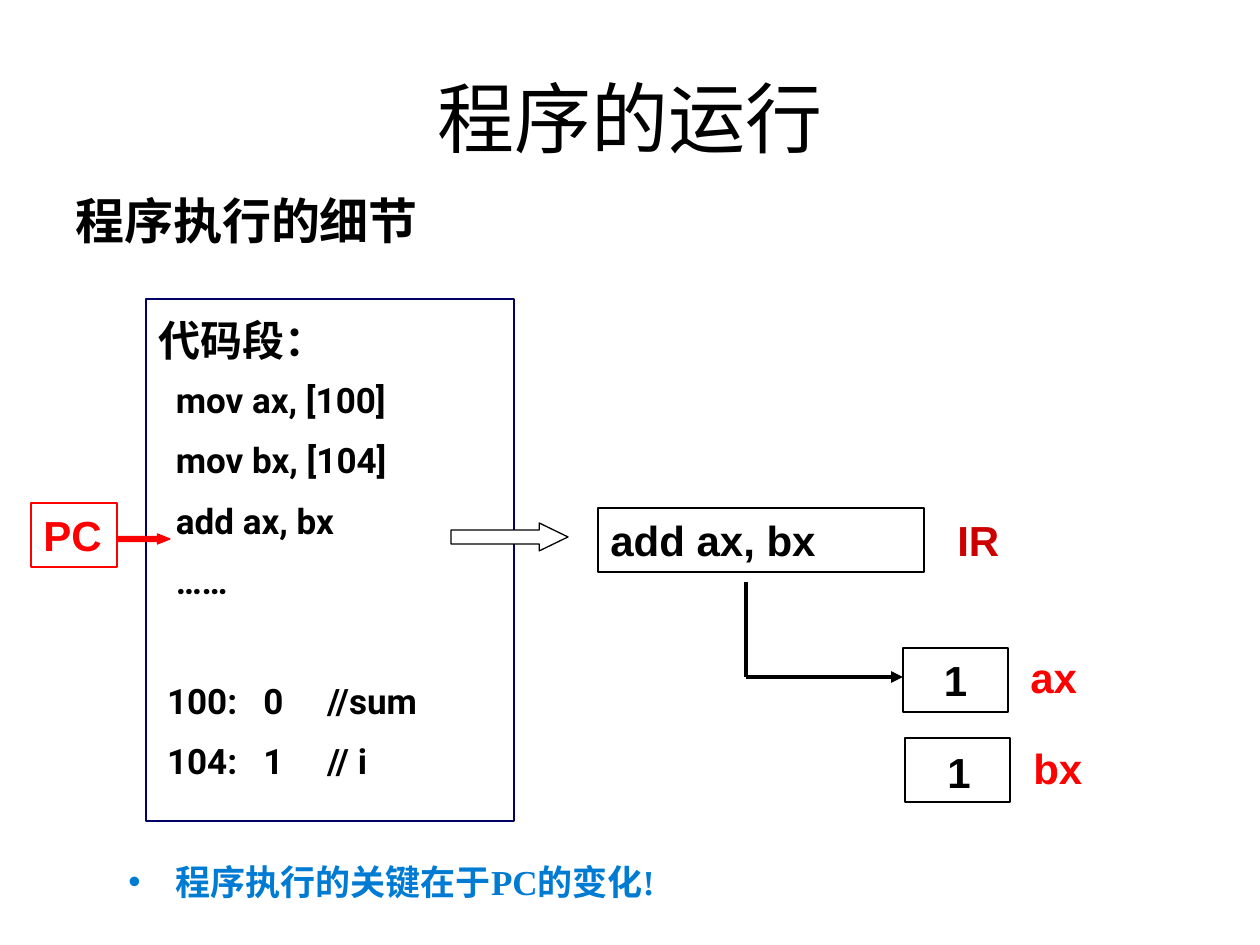
from dataclasses import dataclass

from lxml.etree import SubElement
from pptx import Presentation
from pptx.dml.color import RGBColor
from pptx.enum.shapes import MSO_CONNECTOR, MSO_SHAPE
from pptx.enum.text import MSO_ANCHOR, PP_ALIGN
from pptx.oxml.ns import qn
from pptx.util import Pt

PX = 914400 // 126


@dataclass(frozen=True)
class Theme:
    black: str = "000000"
    white: str = "FFFFFF"
    navy: str = "000066"
    red: str = "FF0000"
    dark_red: str = "CC0000"
    blue: str = "007BD3"
    sans: str = "Arial"
    serif: str = "Times New Roman"
    code: str = "Roboto"
    cjk: str = "Noto Sans CJK SC"
    title: int = 44
    heading: int = 28
    label: int = 24
    body: int = 20
    thin: float = 0.75
    thick: float = 2.25


THEME = Theme()

TITLE = "程序的运行"
HEADING = "程序执行的细节"
TAKEAWAY = "程序执行的关键在于PC的变化!"
SEGMENT_HEADING = "代码段："
# (line, space before in points)
SEGMENT_LINES = [
    ("  mov ax, [100]", 8),
    ("  mov bx, [104]", 10.5),
    ("  add ax, bx", 10.5),
    ("  ……", 10.5),
    (" 100:   0     //sum", 44.5),
    (" 104:   1     // i", 10.5),
]

# (left, top, width, height, fill, line)
SEGMENT_FRAME = (146, 299, 368, 522, THEME.white, THEME.navy)
PC_BOX = (31, 503, 86, 64, None, THEME.red)
IR_BOX = (598, 508, 326, 64, None, THEME.black)
AX_BOX = (903, 648, 105, 64, THEME.white, THEME.black)
BX_BOX = (905, 738, 105, 64, None, THEME.black)
# (left, top, width, height, fill, line, head length)
ARROWS = [
    (451, 523, 117, 28, THEME.white, THEME.black, 1.03),
    (117, 534, 53, 10, THEME.red, THEME.red, 1.25),
]
# (text, left, top, width, colour)
LABELS = [
    ("IR", 945, 508, 126, THEME.dark_red),
    ("ax", 1018, 645, 126, THEME.red),
    ("bx", 1021, 736, 126, THEME.red),
    ("1", 935, 740, 53, THEME.black),
]
LABEL_HEIGHT = 63
ELBOW = [(746, 582), (746, 677), (903, 677)]


def emu(*lengths):
    return [length * PX for length in lengths]


def style(paragraph, size, colour=THEME.black, font=THEME.sans, bold=True):
    for run in paragraph.runs:
        run.font.size = Pt(size)
        run.font.name = font
        run.font.bold = bold
        run.font.color.rgb = RGBColor.from_string(colour)
        SubElement(run.font._element, qn("a:ea"), typeface=THEME.cjk)


def add_text(slide, text, left, top, width, height, size, **look):
    box = slide.shapes.add_textbox(*emu(left, top, width, height))
    frame = box.text_frame
    frame.word_wrap = True
    frame.text = text
    style(frame.paragraphs[0], size, **look)
    return frame


def add_preset(slide, preset, left, top, width, height, fill, line):
    shape = slide.shapes.add_shape(preset, *emu(left, top, width, height))
    shape.shadow.inherit = False
    if fill:
        shape.fill.solid()
        shape.fill.fore_color.rgb = RGBColor.from_string(fill)
    else:
        shape.fill.background()
    shape.line.color.rgb = RGBColor.from_string(line)
    shape.line.width = Pt(THEME.thin)
    return shape


def add_box(slide, geometry, text="", colour=THEME.black,
            align=PP_ALIGN.LEFT, wrap=True):
    frame = add_preset(slide, MSO_SHAPE.RECTANGLE, *geometry).text_frame
    frame.word_wrap = wrap
    frame.vertical_anchor = MSO_ANCHOR.TOP
    frame.text = text
    frame.paragraphs[0].alignment = align
    style(frame.paragraphs[0], THEME.label, colour)


def add_line(slide, start, end, arrow):
    line = slide.shapes.add_connector(MSO_CONNECTOR.STRAIGHT, *emu(*start, *end))
    line.line.color.rgb = RGBColor.from_string(THEME.black)
    line.line.width = Pt(THEME.thick)
    if arrow:
        SubElement(line.line._get_or_add_ln(), qn("a:tailEnd"), type="triangle")
    SubElement(line._element.spPr, qn("a:effectLst"))


def add_code_segment(slide):
    add_box(slide, SEGMENT_FRAME)
    frame = add_text(slide, SEGMENT_HEADING, 146, 308, 441, 504, THEME.label)
    for text, space in SEGMENT_LINES:
        paragraph = frame.add_paragraph()
        paragraph.text = text
        paragraph.space_before = Pt(space)
        style(paragraph, THEME.body, font=THEME.code)


def add_takeaway(slide):
    frame = add_text(slide, TAKEAWAY, 116, 842, 1091, 96, THEME.body,
                     colour=THEME.blue, font=THEME.serif)
    paragraph = frame.paragraphs[0]
    paragraph.line_spacing = 1.3
    properties = paragraph._p.get_or_add_pPr()
    properties.set("marL", str(47 * PX))
    properties.set("indent", str(-47 * PX))
    SubElement(properties, qn("a:buFont"), typeface=THEME.sans)
    SubElement(properties, qn("a:buChar"), char="•")


def main():
    presentation = Presentation()
    presentation.slide_width, presentation.slide_height = emu(1260, 945)
    slide = presentation.slides.add_slide(presentation.slide_layouts[6])

    title = add_text(slide, TITLE, 63, 38, 1134, 158, THEME.title,
                     font=THEME.cjk, bold=False)
    title.paragraphs[0].alignment = PP_ALIGN.CENTER
    heading = add_text(slide, HEADING, 63, 180, 1134, 79, THEME.heading,
                       font=THEME.serif)
    for frame in (title, heading):
        frame.vertical_anchor = MSO_ANCHOR.MIDDLE

    add_code_segment(slide)
    add_box(slide, PC_BOX, "PC", THEME.red, wrap=False)
    add_box(slide, IR_BOX, "add ax, bx")
    add_box(slide, AX_BOX, "1", align=PP_ALIGN.CENTER)
    add_box(slide, BX_BOX)
    for *geometry, head in ARROWS:
        arrow = add_preset(slide, MSO_SHAPE.RIGHT_ARROW, *geometry)
        arrow.adjustments[1] = head
    for text, left, top, width, colour in LABELS:
        add_text(slide, text, left, top, width, LABEL_HEIGHT, THEME.label,
                 colour=colour)
    for start, end in zip(ELBOW, ELBOW[1:]):
        add_line(slide, start, end, arrow=end == ELBOW[-1])
    add_takeaway(slide)

    presentation.save("out.pptx")


if __name__ == "__main__":
    main()
